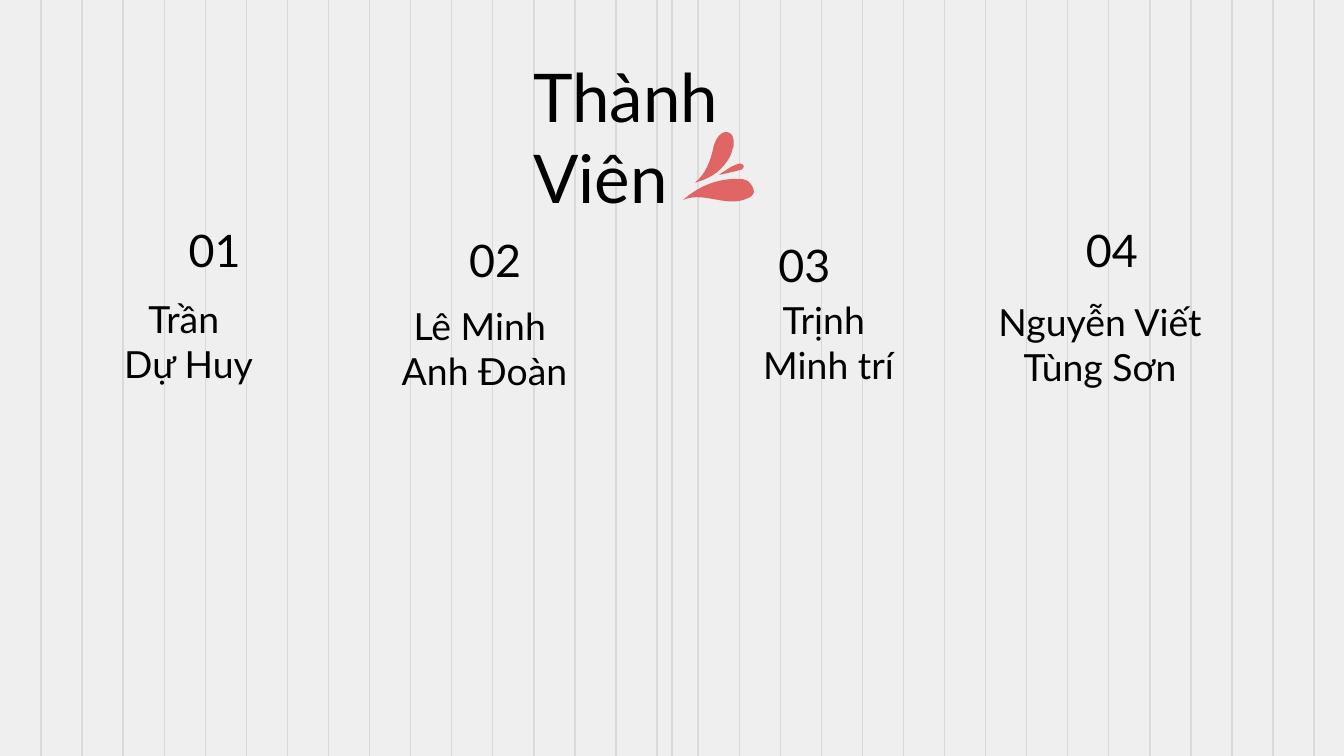
from dataclasses import dataclass

from lxml import etree
from pptx import Presentation
from pptx.dml.color import RGBColor
from pptx.enum.shapes import MSO_CONNECTOR
from pptx.enum.text import MSO_ANCHOR, PP_ALIGN
from pptx.oxml.ns import qn
from pptx.util import Pt

STRAIGHT = MSO_CONNECTOR.STRAIGHT
TOP, BOTTOM = MSO_ANCHOR.TOP, MSO_ANCHOR.BOTTOM
LEFT, CENTER = PP_ALIGN.LEFT, PP_ALIGN.CENTER

SLIDE_WIDTH, SLIDE_HEIGHT = 720, 405
STRIPE_GAP = 22


@dataclass(frozen=True)
class Theme:
    background: RGBColor = RGBColor(0xEF, 0xEF, 0xEF)
    stripe: RGBColor = RGBColor(0xD9, 0xD9, 0xD9)
    text: RGBColor = RGBColor(0, 0, 0)
    accent: RGBColor = RGBColor(0xE0, 0x66, 0x66)
    font: str = "Lato"
    title_size: float = 36
    number_size: float = 24
    name_size: float = 20
    stripe_width: float = 0.75


THEME = Theme()

# Number, its left and top; name lines, their box (left, top, width, height)
MEMBERS = [
    ("01", (75.4, 109.8), ["Trần ", "Dự Huy"], (19.7, 154.8, 162.7, 59)),
    ("02", (225.7, 115.5), ["Lê Minh ", "Anh Đoàn"], (191.5, 162.3, 136.1, 55.4)),
    ("03", (391.3, 118.1), ["Trịnh ", "Minh trí"], (366.5, 159.3, 154.8, 55.4)),
    ("04", (556.1, 109.8), ["Nguyễn Viết Tùng Sơn"], (511.9, 153, 154.8, 62.6)),
]

# Each drop: a start point, then segments of one point (line) or three (curve)
DROPS = [
    ((403.9, 103), [
        [(403.9, 100.8), (402.5, 98.6), (401, 97.2)],
        [(398.9, 95.8), (396.7, 95.8), (394.6, 95.8)],
        [(383.8, 95.8), (373.7, 100.1), (365.8, 107.3)],
        [(367.2, 106.6)],
        [(377.3, 103), (389.5, 110.9), (399.6, 106.6)],
        [(401.8, 105.8), (403.2, 105.1), (403.9, 103)],
    ]),
    ((392.4, 79.9), [
        [(393.1, 79.2), (393.1, 77.8), (393.1, 76.3)],
        [(393.1, 74.2), (392.4, 72), (391, 71.3)],
        [(388.8, 69.8), (386.6, 71.3), (385.2, 72.7)],
        [(383.8, 74.2), (383, 76.3), (382.3, 78.5)],
        [(380.9, 85.7), (378, 93.6), (372.2, 97.9)],
        [(377.3, 96.5), (382.3, 94.3), (385.9, 90.7)],
        [(388.8, 87.8), (391.7, 84.2), (392.4, 79.9)],
    ]),
    ((398.2, 89.3), [
        [(398.9, 89.3), (398.9, 88.6), (398.2, 88.6)],
        [(398.2, 88.6), (398.2, 88.6), (397.4, 87.8)],
        [(396, 87.1), (393.8, 88.6), (391.7, 89.3)],
        [(385.2, 93.6)],
        [(385.9, 93.6)],
        [(388.8, 92.9), (392.4, 92.2), (395.3, 91.4)],
        [(396.7, 91.4), (397.4, 90.7), (398.2, 90)],
        [(398.2, 90), (398.2, 89.3), (398.2, 89.3)],
    ]),
]


def add_stripe(slide, x):
    """Draw a vertical line and hand it to the slide master."""
    stripe = slide.shapes.add_connector(STRAIGHT, Pt(x), Pt(0), Pt(x), Pt(SLIDE_HEIGHT))
    stripe.line.color.rgb = THEME.stripe
    stripe.line.width = Pt(THEME.stripe_width)
    etree.SubElement(stripe._element.spPr, qn("a:effectLst"))
    slide.slide_layout.slide_master.shapes.element.append(stripe._element)


def add_text(slide, box, lines, size, anchor=BOTTOM, alignment=CENTER):
    shape = slide.shapes.add_textbox(*(Pt(length) for length in box))
    frame = shape.text_frame
    frame.word_wrap = True
    frame.vertical_anchor = anchor
    frame.margin_left = frame.margin_right = Pt(7.2)
    frame.margin_top = frame.margin_bottom = Pt(7.2)
    for index, line in enumerate(lines):
        paragraph = frame.add_paragraph() if index else frame.paragraphs[0]
        paragraph.alignment = alignment
        run = paragraph.add_run()
        run.text = line
        run.font.name = THEME.font
        run.font.size = Pt(size)
        run.font.color.rgb = THEME.text


def bend_segments(shape, segments):
    """Join the three lines of each curved segment into one cubic curve."""
    lines = iter(list(shape._element.iter(qn("a:lnTo"))))
    for segment in segments:
        group = [next(lines) for _ in segment]
        if len(group) == 3:
            curve = etree.Element(qn("a:cubicBezTo"))
            group[0].addprevious(curve)
            for line in group:
                curve.append(line[0])
                line.getparent().remove(line)


def add_drop(slide, start, segments):
    builder = slide.shapes.build_freeform(Pt(start[0]), Pt(start[1]))
    points = [(Pt(x), Pt(y)) for segment in segments for x, y in segment]
    builder.add_line_segments(points, close=True)
    drop = builder.convert_to_shape()
    bend_segments(drop, segments)
    drop.shadow.inherit = False
    drop.fill.solid()
    drop.fill.fore_color.rgb = THEME.accent
    drop.line.fill.background()


def main():
    presentation = Presentation()
    presentation.slide_width = Pt(SLIDE_WIDTH)
    presentation.slide_height = Pt(SLIDE_HEIGHT)
    slide = presentation.slides.add_slide(presentation.slide_layouts[6])
    slide.background.fill.solid()
    slide.background.fill.fore_color.rgb = THEME.background

    # Striped background, with one more line down the middle
    for x in range(STRIPE_GAP, SLIDE_WIDTH, STRIPE_GAP):
        add_stripe(slide, x)
    add_stripe(slide, SLIDE_WIDTH / 2)

    # Title and its splash
    add_text(slide, (278.6, 22.7, 162.7, 45.4), ["Thành Viên"], THEME.title_size, TOP, LEFT)
    for start, segments in DROPS:
        add_drop(slide, start, segments)

    # Members
    for number, position, name_lines, name_box in MEMBERS:
        add_text(slide, (*position, 79.2, 45.4), [number], THEME.number_size)
        add_text(slide, name_box, name_lines, THEME.name_size)

    presentation.save("out.pptx")


if __name__ == "__main__":
    main()
